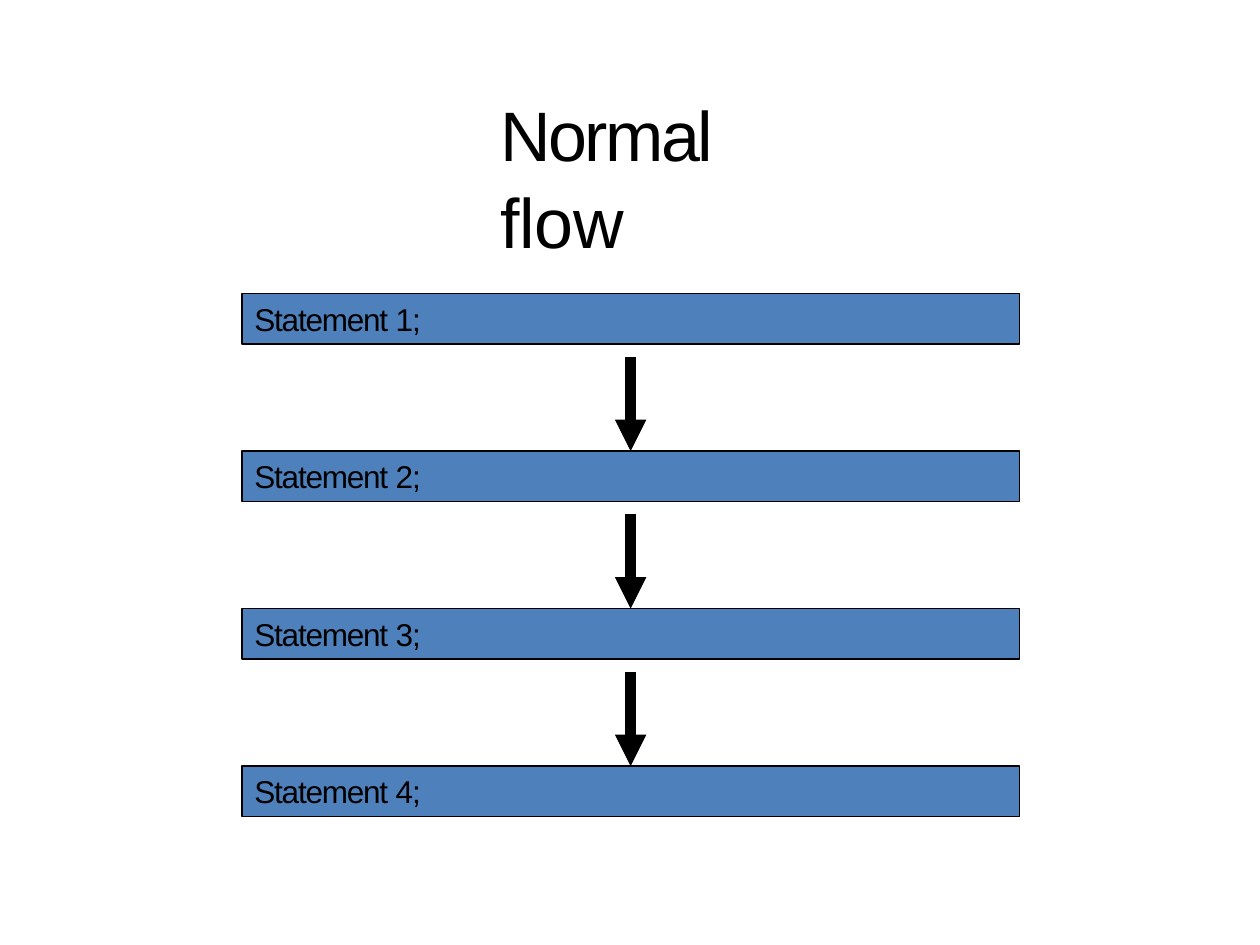
from lxml import etree
from pptx import Presentation
from pptx.dml.color import RGBColor
from pptx.enum import shapes, text
from pptx.oxml import ns
from pptx.util import Inches, Pt

COLORS = {"ink": "000000", "bar": "4E80BC"}
FONT = "Arial"


def color(name):
    """Return the named colour."""
    return RGBColor.from_string(COLORS[name])


def write_runs(frame, runs, size, space_before, indent, insets):
    """Fill a frame with one left-aligned paragraph of letter-spaced runs."""
    frame.word_wrap = True
    frame.vertical_anchor = text.MSO_ANCHOR.TOP
    frame.margin_left = 0
    frame.margin_top, frame.margin_right, frame.margin_bottom = map(Inches, insets)
    paragraph = frame.paragraphs[0]
    paragraph.alignment = text.PP_ALIGN.LEFT
    paragraph.space_before = Pt(space_before)
    properties = paragraph._p.get_or_add_pPr()
    properties.set("marL", str(Inches(indent)))
    properties.set("indent", "0")
    for words, spacing in runs:
        run = paragraph.add_run()
        run.text = words
        run.font.size = Pt(size)
        run.font.name = FONT
        run.font.color.rgb = color("ink")
        run._r.get_or_add_rPr().set("spc", str(round(spacing * 100)))
    return paragraph


def add_title(slide, left, top, width, height):
    """Place the slide title in its box."""
    box = slide.shapes.add_textbox(*map(Inches, (left, top, width, height)))
    runs = [("Normal ", -1.4), ("flow", -0.1)]
    paragraph = write_runs(box.text_frame, runs, 40, 1, 0.01, (0.02, 0.1, 0))
    paragraph.line_spacing = 1.04


def add_statement(slide, number, left, top, width, height):
    """Place one numbered statement bar."""
    bar = slide.shapes.add_shape(
        shapes.MSO_SHAPE.RECTANGLE, *map(Inches, (left, top, width, height))
    )
    bar.shadow.inherit = False
    bar.fill.solid()
    bar.fill.fore_color.rgb = color("bar")
    bar.line.color.rgb = color("ink")
    bar.line.width = Pt(0.75)
    runs = [("Statement ", -0.7), (f"{number};", -0.6)]
    write_runs(bar.text_frame, runs, 18, 3.7, 0.1, (0.05, 0, 0))


def add_arrow(slide, center, top, bottom):
    """Draw a thick downward arrow."""
    arrow = slide.shapes.add_connector(
        shapes.MSO_CONNECTOR.STRAIGHT, *map(Inches, (center, top, center, bottom))
    )
    arrow.line.color.rgb = color("ink")
    arrow.line.width = Pt(6)
    etree.SubElement(arrow.line._get_or_add_ln(), ns.qn("a:tailEnd"), type="triangle")
    etree.SubElement(arrow._element.spPr, ns.qn("a:effectLst"))


def add_flow(slide, left, top, width, count=4, height=0.4, pitch=1.25, gap=0.1):
    """Stack the statements and join each to the next with an arrow."""
    for index in range(count):
        bar_top = top + index * pitch
        add_statement(slide, index + 1, left, bar_top, width, height)
        if index < count - 1:
            add_arrow(slide, left + width / 2, bar_top + height + gap, bar_top + pitch)


def main():
    """Build and save the presentation."""
    presentation = Presentation()
    presentation.slide_width = Inches(10)
    presentation.slide_height = Inches(7.5)
    slide = presentation.slides.add_slide(presentation.slide_layouts[6])
    add_title(slide, 3.96, 0.68, 2.82, 0.69)
    add_flow(slide, 1.92, 2.33, 6.17)
    presentation.save("out.pptx")


if __name__ == "__main__":
    main()
